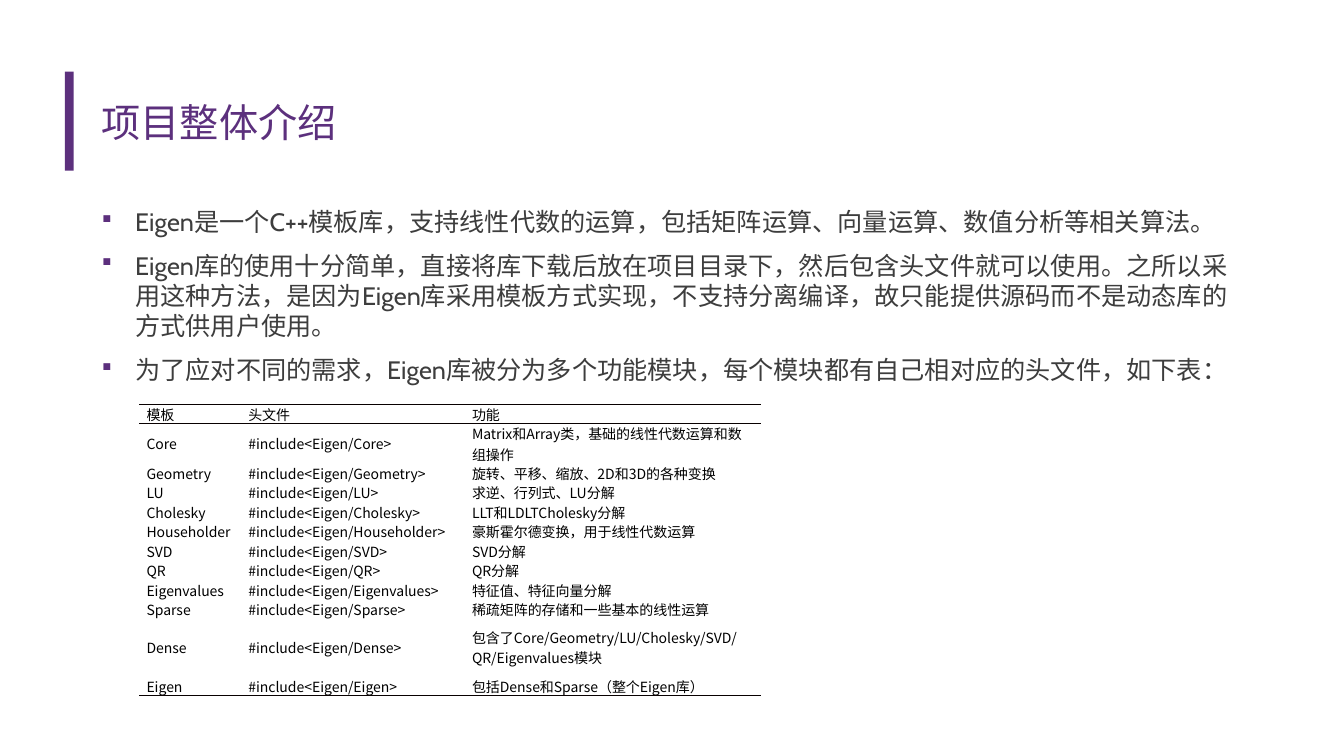
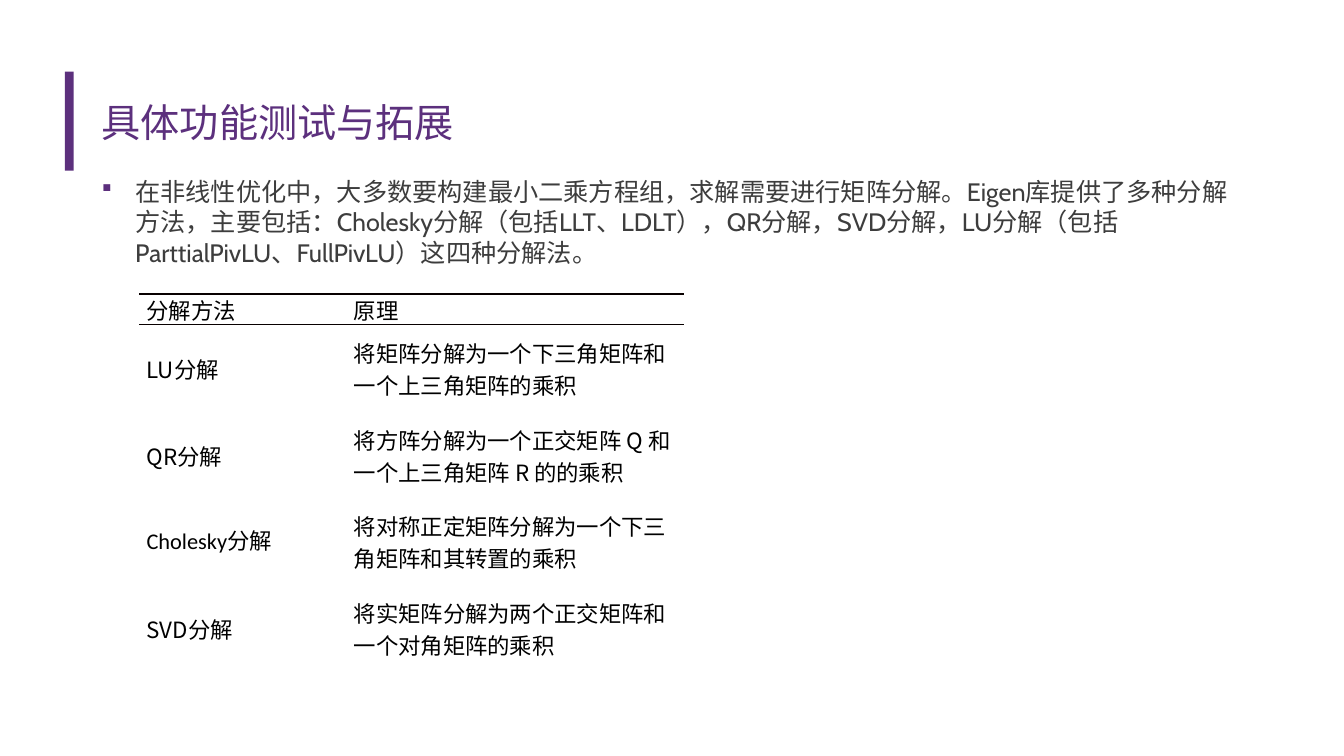
"""Builds two slides that introduce the Eigen library and its matrix decompositions."""
from lxml.etree import SubElement
from pptx import Presentation
from pptx.dml.color import RGBColor
from pptx.enum.lang import MSO_LANGUAGE_ID
from pptx.enum.shapes import MSO_SHAPE
from pptx.enum.text import MSO_ANCHOR
from pptx.oxml.ns import qn
from pptx.util import Pt

COLORS = {"accent": "5C307D", "bullet": "5C2F7D", "body": "3D3D3D",
          "table": "000000", "rule": "080000"}
TITLE_STYLE = {"name": "Cabin", "size": Pt(28)}
BODY_STYLE = {"name": "Cabin", "size": Pt(18)}
TABLE_FONT = "Noto Sans CJK SC"
BODY_SPACING = {"space_before": Pt(3.6), "space_after": Pt(6)}
CELL_FORMAT = {"margin_left": Pt(5.3), "margin_right": Pt(5.3), "margin_top": 0,
               "margin_bottom": 0, "vertical_anchor": MSO_ANCHOR.MIDDLE}
TEXT_LEFT, TEXT_WIDTH = 65.5, 828.7
TABLE_LEFT = 99.4

MODULES = [
    ("Core", "Matrix和Array类，基础的线性代数运算和数组操作"),
    ("Geometry", "旋转、平移、缩放、2D和3D的各种变换"),
    ("LU", "求逆、行列式、LU分解"),
    ("Cholesky", "LLT和LDLTCholesky分解"),
    ("Householder", "豪斯霍尔德变换，用于线性代数运算"),
    ("SVD", "SVD分解"),
    ("QR", "QR分解"),
    ("Eigenvalues", "特征值、特征向量分解"),
    ("Sparse", "稀疏矩阵的存储和一些基本的线性运算"),
    ("Dense", "包含了Core/Geometry/LU/Cholesky/SVD/QR/Eigenvalues模块"),
    ("Eigen", "包括Dense和Sparse（整个Eigen库）"),
]
MODULE_ROWS = [("模板", "头文件", "功能")] + [
    (module, f"#include<Eigen/{module}>", purpose) for module, purpose in MODULES]
DECOMPOSITION_ROWS = [
    ("分解方法", "原理"),
    ("LU分解", "将矩阵分解为一个下三角矩阵和一个上三角矩阵的乘积"),
    ("QR分解", "将方阵分解为一个正交矩阵 Q 和一个上三角矩阵 R 的的乘积"),
    ("Cholesky分解", "将对称正定矩阵分解为一个下三角矩阵和其转置的乘积"),
    ("SVD分解", "将实矩阵分解为两个正交矩阵和一个对角矩阵的乘积"),
]
INTRO_POINTS = [
    "Eigen是一个C++模板库，支持线性代数的运算，包括矩阵运算、向量运算、数值分析等相关算法。",
    "Eigen库的使用十分简单，直接将库下载后放在项目目录下，然后包含头文件就可以使用。"
    "之所以采用这种方法，是因为Eigen库采用模板方式实现，不支持分离编译，"
    "故只能提供源码而不是动态库的方式供用户使用。",
    "为了应对不同的需求，Eigen库被分为多个功能模块，每个模块都有自己相对应的头文件，如下表：",
]
DECOMPOSITION_POINTS = [
    "在非线性优化中，大多数要构建最小二乘方程组，求解需要进行矩阵分解。"
    "Eigen库提供了多种分解方法，主要包括：Cholesky分解（包括LLT、LDLT），"
    "QR分解，SVD分解，LU分解（包括ParttialPivLU、FullPivLU）这四种分解法。",
]


def apply(target, values):
    for attribute, value in values.items():
        setattr(target, attribute, value)


def write(paragraph, text, style, color):
    run = paragraph.add_run()
    run.text = text
    apply(run.font, style)
    run.font.language_id = MSO_LANGUAGE_ID.SIMPLIFIED_CHINESE
    run.font.color.rgb = RGBColor.from_string(COLORS[color])
    latin = run.font._element.find(qn("a:latin"))
    east_asian = latin.makeelement(qn("a:ea"), typeface=style["name"])
    latin.addnext(east_asian)


def add_text_frame(slide, top, height, anchor):
    frame = slide.shapes.add_textbox(
        Pt(TEXT_LEFT), Pt(top), Pt(TEXT_WIDTH), Pt(height)).text_frame
    apply(frame, {"word_wrap": True, "vertical_anchor": anchor})
    return frame


def add_bullet(paragraph):
    properties = paragraph._p.get_or_add_pPr()
    properties.set("marL", str(Pt(24)))
    properties.set("indent", str(-Pt(24)))
    color = SubElement(properties, qn("a:buClr"))
    SubElement(color, qn("a:srgbClr"), val=COLORS["bullet"])
    SubElement(properties, qn("a:buSzPct"), val="92000")
    SubElement(properties, qn("a:buFont"), typeface="Wingdings", charset="2")
    SubElement(properties, qn("a:buChar"), char="§")


def add_points(slide, top, points):
    frame = add_text_frame(slide, top, 289.4, MSO_ANCHOR.TOP)
    for index, point in enumerate(points):
        paragraph = frame.add_paragraph() if index else frame.paragraphs[0]
        apply(paragraph, BODY_SPACING)
        add_bullet(paragraph)
        write(paragraph, point, BODY_STYLE, "body")


def set_borders(cell, ruled_sides):
    properties = cell._tc.get_or_add_tcPr()
    for side in "LRTB":
        border = SubElement(properties, qn(f"a:ln{side}"), w=str(Pt(1)))
        if side in ruled_sides:
            fill = SubElement(border, qn("a:solidFill"))
            SubElement(fill, qn("a:srgbClr"), val=COLORS["rule"])
        else:
            SubElement(border, qn("a:noFill"))


def add_ruled_table(slide, top, rows, widths, heights, size, closed=False, fonts={}):
    table = slide.shapes.add_table(
        len(rows), len(widths), Pt(TABLE_LEFT), Pt(top),
        Pt(sum(widths)), Pt(sum(heights))).table
    apply(table, {"first_row": False, "horz_banding": False})
    for column, width in zip(table.columns, widths):
        column.width = Pt(width)
    for index, (row, texts, height) in enumerate(zip(table.rows, rows, heights)):
        row.height = Pt(height)
        sides = {0: "TB", 1: "T"}.get(index, "")
        if closed and index == len(rows) - 1:
            sides += "B"
        for cell, text in zip(row.cells, texts):
            apply(cell, CELL_FORMAT)
            set_borders(cell, sides)
            cell.fill.background()
            style = {"name": fonts.get(text, TABLE_FONT), "size": Pt(size)}
            write(cell.text_frame.paragraphs[0], text, style, "table")


def add_titled_slide(deck, title):
    slide = deck.slides.add_slide(deck.slide_layouts[6])
    bar = slide.shapes.add_shape(
        MSO_SHAPE.RECTANGLE, Pt(46.4), Pt(51.2), Pt(6.3), Pt(70.7))
    bar.shadow.inherit = False
    bar.fill.solid()
    bar.fill.fore_color.rgb = RGBColor.from_string(COLORS["accent"])
    bar.line.fill.background()
    frame = add_text_frame(slide, 46.8, 80, MSO_ANCHOR.MIDDLE)
    write(frame.paragraphs[0], title, TITLE_STYLE, "accent")
    return slide


def main():
    deck = Presentation()
    apply(deck, {"slide_width": Pt(960), "slide_height": Pt(540)})

    intro = add_titled_slide(deck, "项目整体介绍")
    add_points(intro, 144, INTRO_POINTS)
    add_ruled_table(intro, 288.7, MODULE_ROWS, [72.7, 159.8, 211.7],
                    [14, 28] + [14] * 8 + [40.5, 14], 10, closed=True)

    decomposition = add_titled_slide(deck, "具体功能测试与拓展")
    add_points(decomposition, 122.4, DECOMPOSITION_POINTS)
    add_ruled_table(decomposition, 210, DECOMPOSITION_ROWS, [148, 241],
                    [22, 62.5, 62, 61.5, 62], 16, fonts={"Cholesky分解": "Calibri"})

    deck.save("out.pptx")


if __name__ == "__main__":
    main()
